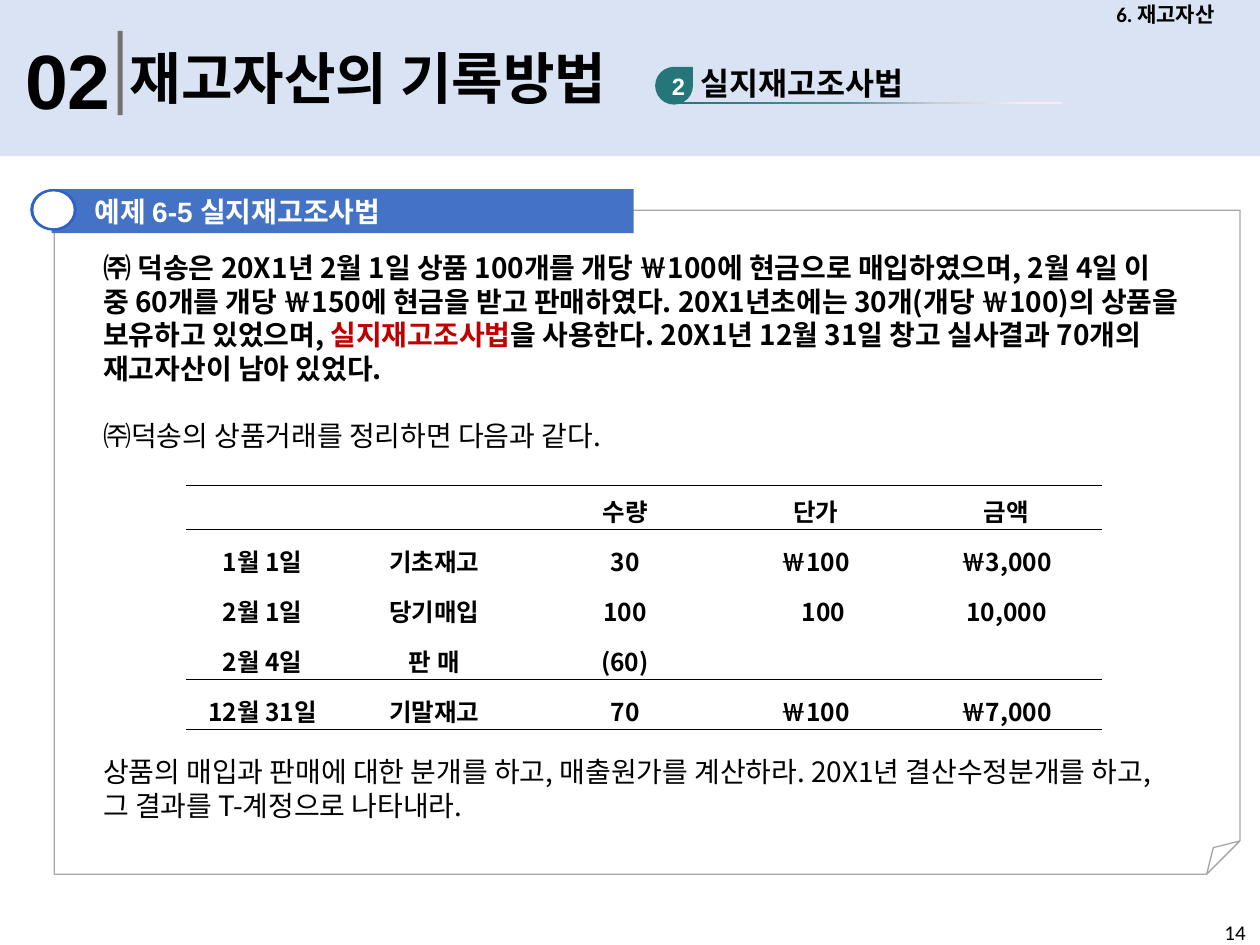
from lxml import etree
from pptx import Presentation
from pptx import util as u
from pptx.dml import color
from pptx.enum import shapes, text
from pptx.oxml import ns

KOREAN = "Noto Sans CJK KR"
BLACK, WHITE = "000000", "FFFFFF"
CENTER = text.PP_ALIGN.CENTER
TOP, MIDDLE, BOTTOM = (text.MSO_ANCHOR.TOP, text.MSO_ANCHOR.MIDDLE,
                       text.MSO_ANCHOR.BOTTOM)
SHAPE = shapes.MSO_SHAPE


def rgb(value):
    return color.RGBColor.from_string(value)


def child(parent, tag, **attributes):
    return etree.SubElement(parent, ns.qn(tag), attributes)


class SlideBuilder:
    def __init__(self, slide):
        self.slide = slide

    def place(self, shape, box):
        shape.left, shape.top, shape.width, shape.height = map(u.Pt, box)

    def format_run(self, run, size, font=KOREAN, hue=BLACK, bold=True):
        run.font.size, run.font.bold, run.font.name = u.Pt(size), bold, font
        run.font.color.rgb = rgb(hue)
        child(run._r.get_or_add_rPr(), "a:ea", typeface=KOREAN)

    def fill_paragraph(self, paragraph, runs, size, align=None, **style):
        """Write runs given as (text, style changes) pairs."""
        paragraph.alignment = align
        for words, changes in runs:
            run = paragraph.add_run()
            run.text = words
            self.format_run(run, size, **{**style, **changes})

    def set_frame(self, frame, anchor, insets=(7.2, 3.6, 7.2, 3.6), wrap=True):
        frame.word_wrap, frame.vertical_anchor = wrap, anchor
        (frame.margin_left, frame.margin_top,
         frame.margin_right, frame.margin_bottom) = map(u.Pt, insets)

    def shape(self, kind, box, fill=None, line=None):
        shape = self.slide.shapes.add_shape(kind, *map(u.Pt, box))
        shape.shadow.inherit = False
        if fill:
            shape.fill.solid()
            shape.fill.fore_color.rgb = rgb(fill)
        else:
            shape.fill.background()
        if line:
            shape.line.color.rgb = rgb(line)
            shape.line.width = u.Pt(0.75)
        else:
            shape.line.fill.background()
        return shape

    def folded_page(self, box, fold, line):
        page = self.shape(SHAPE.FOLDED_CORNER, box, line=line)
        guides = page._element.spPr.find(".//" + ns.qn("a:avLst"))
        child(guides, "a:gd", name="adj", fmla=f"val {round(fold * 100000)}")

    def gradient_rule(self, box, stops):
        shape = self.shape(SHAPE.RECTANGLE, box)
        shape.fill.gradient()
        shape.fill.gradient_angle = 0
        stop_list = shape._element.spPr.find(".//" + ns.qn("a:gsLst"))
        for old in list(stop_list):
            stop_list.remove(old)
        for percent, hue in stops:
            stop = child(stop_list, "a:gs", pos=str(percent * 1000))
            child(stop, "a:srgbClr", val=hue)

    def label(self, box, words, size, anchor=MIDDLE, align=None, **style):
        label = self.slide.shapes.add_textbox(*map(u.Pt, box))
        self.set_frame(label.text_frame, anchor)
        self.fill_paragraph(label.text_frame.paragraphs[0], [(words, {})],
                            size, align, **style)

    def title(self, box, words, size):
        title = self.slide.shapes.title
        self.slide.shapes._spTree.append(title._element)
        self.place(title, box)
        self.set_frame(title.text_frame, MIDDLE)
        self.fill_paragraph(title.text_frame.paragraphs[0], [(words, {})],
                            size, text.PP_ALIGN.LEFT, font="Calibri")

    def body(self, box, paragraphs, size, pitch):
        """Write (blank lines before, runs) paragraphs on a fixed line pitch."""
        frame = self.slide.shapes.add_textbox(*map(u.Pt, box)).text_frame
        self.set_frame(frame, TOP)
        for index, (gap, runs) in enumerate(paragraphs):
            paragraph = frame.add_paragraph() if index else frame.paragraphs[0]
            paragraph.line_spacing = u.Pt(pitch)
            if gap:
                paragraph.space_before = u.Pt(gap * pitch)
            self.fill_paragraph(paragraph, runs, size)

    def border(self, cell, side, visible):
        line = child(cell._tc.get_or_add_tcPr(), f"a:ln{side}", w="3556")
        if visible:
            child(child(line, "a:solidFill"), "a:srgbClr", val=BLACK)
        else:
            child(line, "a:noFill")

    def table(self, box, rows, widths, heights, ruled_below, size):
        table = self.slide.shapes.add_table(
            len(rows), len(widths), *map(u.Pt, box)).table
        table.first_row = table.horz_banding = False
        for column, width in zip(table.columns, widths):
            column.width = u.Pt(width)
        for index, (row, height) in enumerate(zip(rows, heights)):
            table.rows[index].height = u.Pt(height)
            for position, words in enumerate(row):
                cell = table.cell(index, position)
                for side, visible in (("L", False), ("R", False),
                                      ("T", index == 0 or index - 1 in ruled_below),
                                      ("B", index in ruled_below)):
                    self.border(cell, side, visible)
                cell.fill.background()
                cell.vertical_anchor = BOTTOM
                cell.margin_left = cell.margin_right = u.Pt(5)
                cell.margin_top = cell.margin_bottom = 0
                paragraph = cell.text_frame.paragraphs[0]
                paragraph.line_spacing = u.Pt(22)
                runs = [(words, {})] if words else []
                self.fill_paragraph(paragraph, runs, size, CENTER)
        # Lines the bare unit price up with the digits of the won amounts.
        table.cell(2, 3).margin_left = u.Pt(14)


def add_header(builder):
    builder.shape(SHAPE.RECTANGLE, (0, 0, 720, 89.3), "DAE3F3")
    builder.label((393, 33, 222.5, 29), "실지재고조사법", 18)
    builder.gradient_rule((386, 58.2, 221, 1.2), [
        (0, "257578"), (44, "4C979A"), (68, "C8CED3"), (90, "FDEAF0")])
    badge = builder.shape(SHAPE.TEAR, (374.4, 38.2, 21.6, 21.6), "257679")
    builder.set_frame(badge.text_frame, MIDDLE, (5, 0, 0, 0), wrap=False)
    builder.fill_paragraph(badge.text_frame.paragraphs[0], [("2", {})], 13.5,
                           CENTER, font="Arial", hue=WHITE)
    builder.label((7.2, 14.5, 65.5, 60.5), "02", 44, font="Arial")
    builder.shape(SHAPE.RECTANGLE, (67.3, 17.6, 2.9, 48.2), "767171")
    builder.title((67, 21, 404, 46), "재고자산의 기록방법", 32)
    builder.label((612, 0, 108, 16.6), "6. 재고자산", 12, align=CENTER,
                  font="Calibri")


def add_example(builder):
    builder.folded_page((31, 120.2, 677.5, 379.4), 0.05, "A6A6A6")
    banner = builder.shape(SHAPE.RECTANGLE, (29.5, 108, 332.6, 25.2), "4472C4")
    builder.set_frame(banner.text_frame, MIDDLE, (24.5, 0, 7.2, 0))
    builder.fill_paragraph(
        banner.text_frame.paragraphs[0],
        [("예제 ", {}), ("6-5 ", {"font": "Arial"}), ("실지재고조사법", {})],
        16, text.PP_ALIGN.LEFT, font="Calibri", hue=WHITE)
    plain = {"bold": False}
    builder.body((52, 139.7, 629.3, 366.5), [
        (0, [("㈜ 덕송은 20X1년 2월 1일 상품 100개를 개당 ￦100에 현금으로 "
              "매입하였으며, 2월 4일 이 중 60개를 개당 ￦150에 현금을 받고 "
              "판매하였다. 20X1년초에는 30개(개당 ￦100)의 상품을 보유하고 "
              "있었으며, ", {}),
             ("실지재고조사법", {"hue": "C00000"}),
             ("을 사용한다. 20X1년 12월 31일 창고 실사결과 70개의 재고자산이 "
              "남아 있었다.", {})]),
        (1, [("㈜덕송의 상품거래를 정리하면 다음과 같다.", plain)]),
        (9, [("상품의 매입과 판매에 대한 분개를 하고, 매출원가를 계산하라. "
              "20X1년 결산수정분개를 하고, 그 결과를 T-계정으로 나타내라.",
              plain)]),
    ], 16, 19.2)
    builder.table(
        (106.5, 277.5, 523.2, 139.2),
        [("", "", "수량", "단가", "금액"),
         ("1월 1일", "기초재고", "30", "￦100", "￦3,000"),
         ("2월 1일", "당기매입", "100", "100", "10,000"),
         ("2월 4일", "판 매", "(60)", "", ""),
         ("12월 31일", "기말재고", "70", "￦100", "￦7,000")],
        [87.2] + [109] * 4, [24.8] + [28.6] * 4, {0, 3, 4}, 14)


def main():
    presentation = Presentation()
    presentation.slide_width, presentation.slide_height = u.Pt(720), u.Pt(540)
    slide = presentation.slides.add_slide(presentation.slide_layouts[5])
    builder = SlideBuilder(slide)
    add_header(builder)
    add_example(builder)
    builder.label((692.6, 522, 162, 28.8), "14", 12, anchor=TOP,
                  font="Calibri", bold=False)
    builder.shape(SHAPE.OVAL, (17.3, 108, 26.6, 23.8), "2D61C8")
    builder.shape(SHAPE.OVAL, (19.1, 109.4, 23, 21), WHITE)
    presentation.save("out.pptx")


if __name__ == "__main__":
    main()
